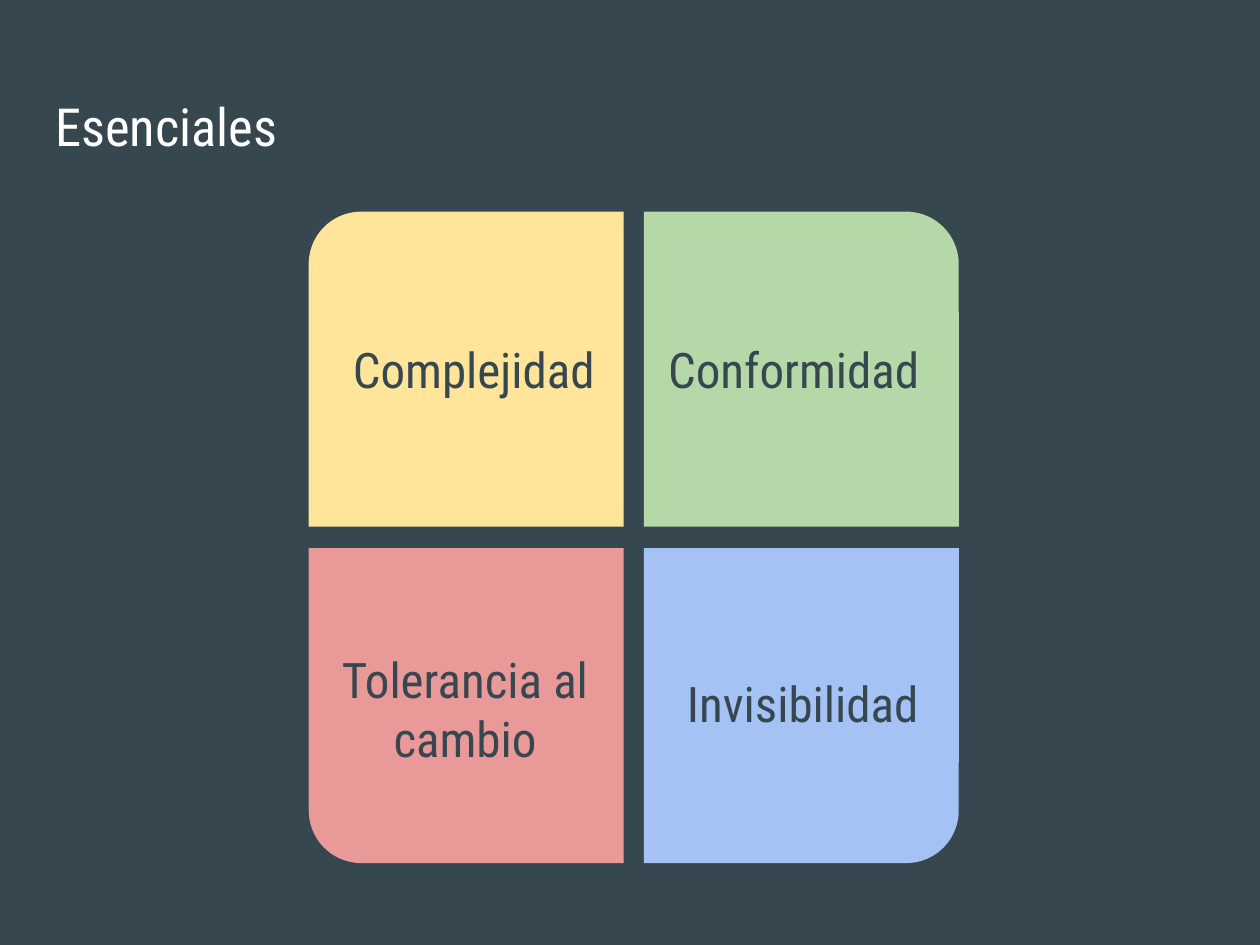
from pptx import Presentation
from pptx.dml.color import RGBColor
from pptx.enum.shapes import MSO_SHAPE as Shape
from pptx.enum.text import MSO_ANCHOR as Anchor, PP_ALIGN as Align
from pptx.util import Inches, Pt

COLORS = {
    "slate": "37474F", "white": "FFFFFF", "yellow": "FFE599",
    "green": "B6D7A8", "red": "EA9999", "blue": "A4C2F4",
}
FONT = "Roboto Condensed"
TITLE = "Esenciales"
TITLE_BOX = (0.34, 0.65, 9.32, 0.83)
# column, row, colour, label, label offset
TILES = [
    (0, 0, "yellow", "Complejidad", None),
    (1, 0, "green", "Conformidad", None),
    (0, 1, "red", "Tolerancia al cambio", (-0.01, 0.02)),
    (1, 1, "blue", "Invisibilidad", (0.01, -0.02)),
]
GRID_LEFT, GRID_TOP, TILE = 2.45, 1.68, 2.5
GAP_X, GAP_Y = 0.16, 0.17
CORNER = 0.167


def rgb(name):
    return RGBColor.from_string(COLORS[name])


def write(shape, text, size, color, align, anchor):
    frame = shape.text_frame
    margins = {f"margin_{side}": Inches(0.1) for side in ("left", "top", "right", "bottom")}
    for name, value in {"word_wrap": True, "vertical_anchor": anchor, **margins}.items():
        setattr(frame, name, value)
    para = frame.paragraphs[0]
    para.alignment = align
    span = para.add_run()
    span.text = text
    for name, value in {"name": FONT, "size": Pt(size)}.items():
        setattr(span.font, name, value)
    span.font.color.rgb = rgb(color)


def add_box(page, left, top, width, height):
    return page.shapes.add_textbox(*map(Inches, (left, top, width, height)))


def add_tile(page, column, row, color, label, offset):
    """Add a tile whose rounded corner faces out; lower tiles are turned, so their label is a box."""
    left = GRID_LEFT + column * (TILE + GAP_X)
    top = GRID_TOP + row * (TILE + GAP_Y)
    tile = page.shapes.add_shape(
        Shape.ROUND_1_RECTANGLE, *map(Inches, (left, top, TILE, TILE)))
    tile.adjustments[0] = CORNER
    tile.rotation = 180 * row
    if column == row:
        tile.element.spPr.xfrm.set("flipH", "1")
    tile.shadow.inherit = False
    tile.fill.solid()
    tile.fill.fore_color.rgb = rgb(color)
    tile.line.fill.background()
    holder = tile
    if offset:
        holder = add_box(page, left + offset[0], top + offset[1], TILE, TILE)
    write(holder, label, 28, "slate", Align.CENTER, Anchor.MIDDLE)


def main():
    deck = Presentation()
    deck.slide_width, deck.slide_height = Inches(10), Inches(7.5)
    page = deck.slides.add_slide(deck.slide_layouts[6])
    page.background.fill.solid()
    page.background.fill.fore_color.rgb = rgb("slate")
    write(add_box(page, *TITLE_BOX), TITLE, 30, "white", Align.LEFT, Anchor.TOP)
    for tile in TILES:
        add_tile(page, *tile)
    deck.save("out.pptx")


if __name__ == "__main__":
    main()
